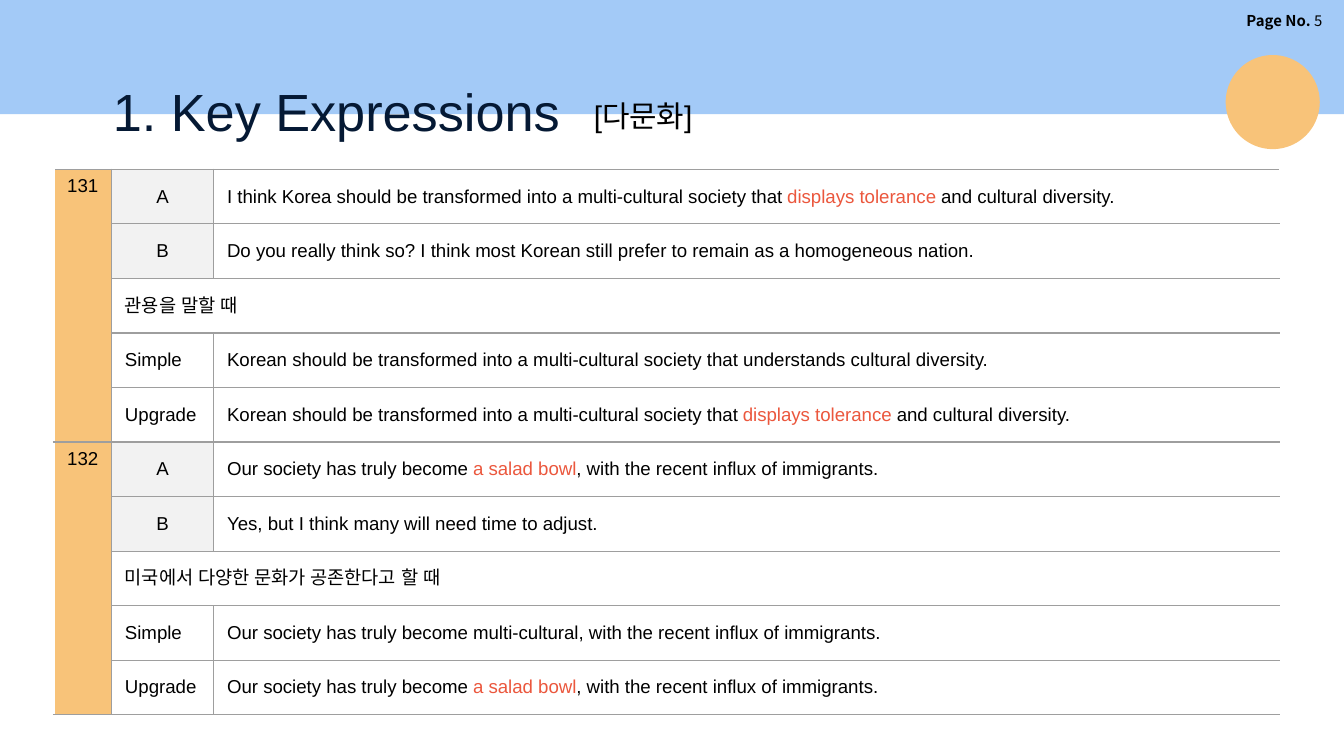
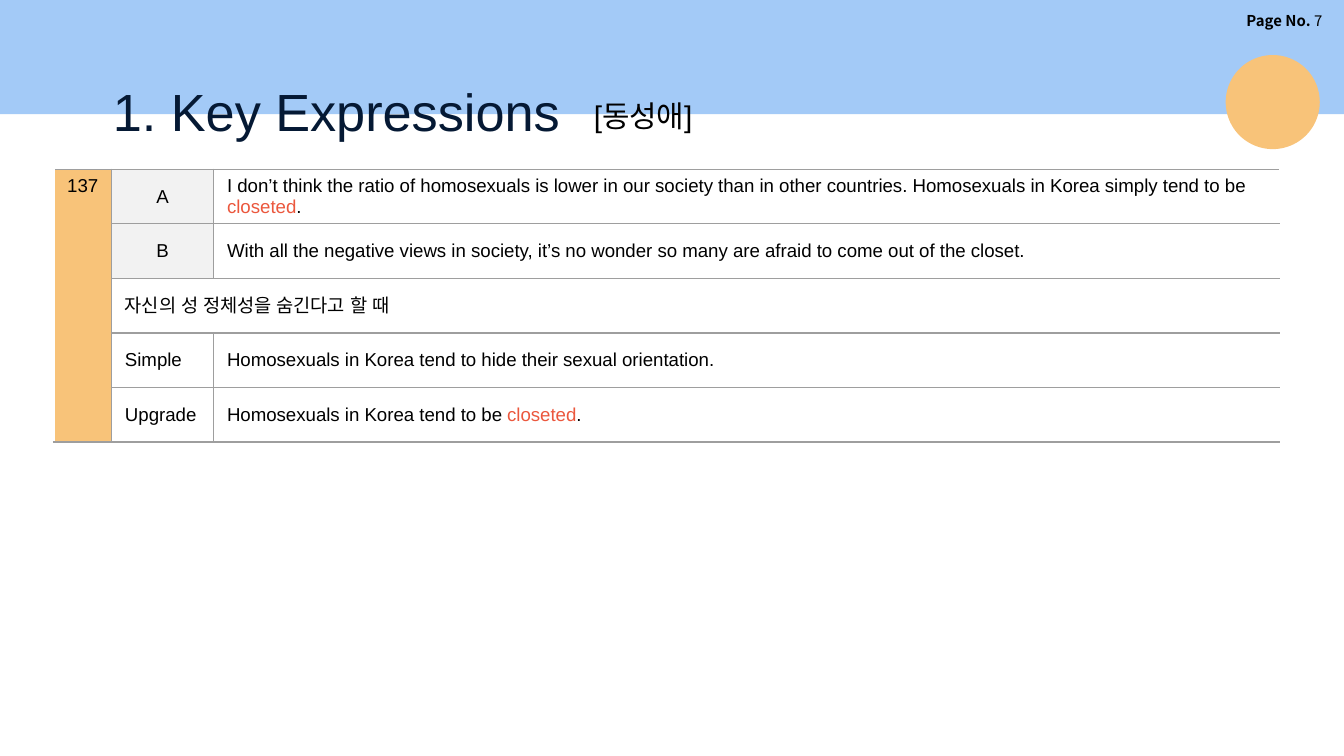
import pptx
import pptx.dml.color
import pptx.enum.shapes
import pptx.enum.text
import pptx.util
from lxml import etree

Inches = pptx.util.Inches
ALIGN = pptx.enum.text.PP_ALIGN
ANCHOR = pptx.enum.text.MSO_ANCHOR
SHAPE = pptx.enum.shapes.MSO_SHAPE
A = "http://schemas.openxmlformats.org/drawingml/2006/main"

BLUE, ORANGE, NAVY, RED = "A3CAF7", "F8C379", "051934", "EB573D"
BLACK, WHITE, GREY, PALE = "000000", "FFFFFF", "9E9E9E", "F2F2F2"
LABELS = ["A", "B", None, "Simple", "Upgrade"]
COLS = [0.43, 0.76, 7.93]
ROW_H = 4.06 / 10

pages = [
    ("5", "[다문화]", 2.44, [
        ("131", [
            "I think Korea should be transformed into a multi-cultural society that |displays tolerance |and cultural diversity.",
            "Do you really think so? I think most Korean still prefer to remain as a homogeneous nation.",
            "관용을 말할 때",
            "Korean should be transformed into a multi-cultural society that understands cultural diversity.",
            "Korean should be transformed into a multi-cultural society that |displays tolerance |and cultural diversity.",
        ]),
        ("132", [
            "Our society has truly become |a salad bowl|, with the recent influx of immigrants.",
            "Yes, but I think many will need time to adjust.",
            "미국에서 다양한 문화가 공존한다고 할 때",
            "Our society has truly become multi-cultural, with the recent influx of immigrants.",
            "Our society has truly become |a salad bowl|, with the recent influx of immigrants.",
        ]),
    ]),
    ("7", "[동성애]", 2, [
        ("137", [
            "I don’t think the ratio of homosexuals is lower in our society than in other countries. Homosexuals in Korea simply tend to be |closeted|.",
            "With all the negative views in society, it’s no wonder so many are afraid to come out of the closet.",
            "자신의 성 정체성을 숨긴다고 할 때",
            "Homosexuals in Korea tend to hide their sexual orientation.",
            "Homosexuals in Korea tend to be |closeted|.",
        ]),
    ]),
]


def rgb(color):
    return pptx.dml.color.RGBColor.from_string(color)


def add_run(p, text, size, color=BLACK, font="Arial", bold=False):
    r = p.add_run()
    r.text = text
    r.font.size = pptx.util.Pt(size)
    r.font.name = font
    r.font.bold = bold
    r.font.color.rgb = rgb(color)
    etree.SubElement(r._r.get_or_add_rPr(), f"{{{A}}}ea", typeface=font)


prs = pptx.Presentation()
prs.slide_width = Inches(10)
prs.slide_height = Inches(10 * 9 / 16)
layout = prs.slide_layouts[5]

for number, topic, topic_w, entries in pages:
    s = prs.slides.add_slide(layout)

    shapes = [(SHAPE.OVAL, 9.12, 0.41, 0.7, 0.7, ORANGE)]
    if len(prs.slides) == 1:
        shapes.append((SHAPE.RECTANGLE, 0, 0, 10, 0.85, BLUE))
    for kind, x, y, w, h, color in shapes:
        sp = s.shapes.add_shape(kind, Inches(x), Inches(y), Inches(w), Inches(h))
        sp.shadow.inherit = False
        sp.fill.solid()
        sp.fill.fore_color.rgb = rgb(color)
        sp.line.fill.background()
        if kind == SHAPE.RECTANGLE:
            layout.shapes.element.insert(2, sp.element)

    title = s.shapes.title
    title.left, title.top = Inches(0.74), Inches(0.49)
    title.width, title.height = Inches(3.58), Inches(0.63)
    tf = title.text_frame
    tf.word_wrap = True
    tf.auto_size = pptx.enum.text.MSO_AUTO_SIZE.NONE
    tf.vertical_anchor = ANCHOR.TOP
    tf.margin_left = tf.margin_right = tf.margin_top = tf.margin_bottom = Inches(0.1)
    tf.paragraphs[0].alignment = ALIGN.LEFT
    add_run(tf.paragraphs[0], "1. Key Expressions", 28, NAVY)

    sp = s.shapes.add_textbox(Inches(8.48), Inches(0.04), Inches(1.45), Inches(0.23))
    tf = sp.text_frame
    tf.word_wrap = True
    tf.vertical_anchor = ANCHOR.MIDDLE
    tf.margin_left = tf.margin_right = Inches(0.09)
    p = tf.paragraphs[0]
    p.alignment = ALIGN.RIGHT
    add_run(p, "Page No. ", 8, font="Noto Sans CJK KR", bold=True)
    add_run(p, number, 8, font="Noto Sans CJK KR")

    sp = s.shapes.add_textbox(Inches(4.32), Inches(0.68), Inches(topic_w), Inches(0.37))
    sp.text_frame.word_wrap = True
    add_run(sp.text_frame.paragraphs[0], topic, 16)

    n = len(LABELS) * len(entries)
    table = s.shapes.add_table(n, 3, Inches(0.4), Inches(1.26), Inches(sum(COLS)), Inches(ROW_H * n)).table
    table.first_row = table.horz_banding = False
    for column, w in zip(table.columns, COLS):
        column.width = Inches(w)
    for row in table.rows:
        row.height = Inches(ROW_H)

    for e, (entry_no, sentences) in enumerate(entries):
        top = e * len(LABELS)
        table.cell(top, 0).merge(table.cell(top + len(LABELS) - 1, 0))
        for i, (label, sentence) in enumerate(zip(LABELS, sentences)):
            if label is None:
                table.cell(top + i, 1).merge(table.cell(top + i, 2))
                texts = ["", sentence, ""]
            else:
                texts = ["" if i else entry_no, label, sentence]
            for c, text in enumerate(texts):
                cell = table.cell(top + i, c)
                left = WHITE if c == 0 else GREY
                right = WHITE if c == 2 or (c == 1 and label is None) else GREY
                tcPr = cell._tc.get_or_add_tcPr()
                for side, color in zip("LRTB", [left, right, GREY, GREY]):
                    width = pptx.util.Pt(1 if color == WHITE else 0.75)
                    ln = etree.SubElement(tcPr, f"{{{A}}}ln{side}", w=str(width))
                    fill = etree.SubElement(ln, f"{{{A}}}solidFill")
                    etree.SubElement(fill, f"{{{A}}}srgbClr", val=color)
                if c == 0 or label in ("A", "B") and c == 1:
                    cell.fill.solid()
                    cell.fill.fore_color.rgb = rgb(PALE if c else ORANGE)
                else:
                    cell.fill.background()
                cell.vertical_anchor = ANCHOR.MIDDLE if c else ANCHOR.TOP
                cell.margin_left = Inches(0.1)
                cell.margin_right = Inches(0.1 if c else 0.05)
                cell.margin_top = Inches(0.03 if c else 0.05)
                cell.margin_bottom = Inches(0.03)
                p = cell.text_frame.paragraphs[0]
                p.font.size = pptx.util.Pt(10)
                p.alignment = ALIGN.CENTER if c == 1 and label in ("A", "B") else ALIGN.LEFT
                if text:
                    for k, part in enumerate(text.split("|")):
                        add_run(p, part, 10, RED if k % 2 else BLACK)

prs.save("out.pptx")
